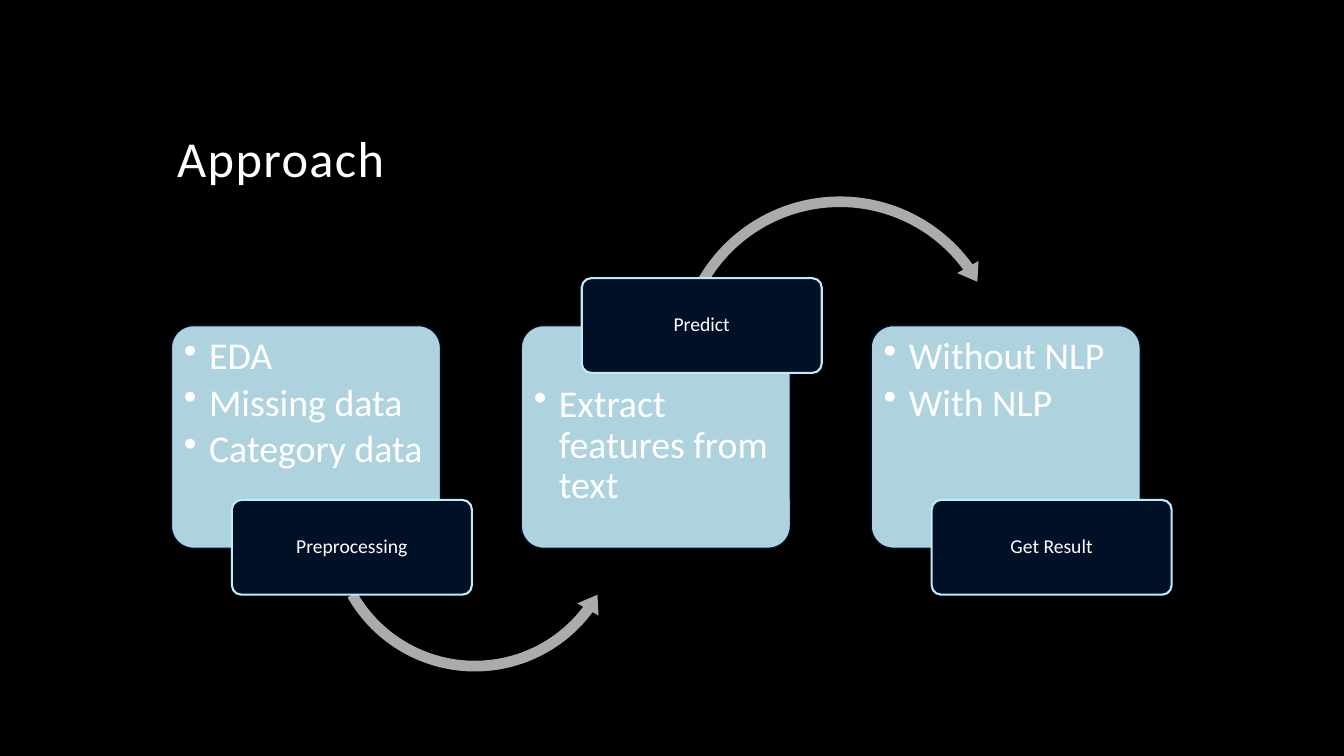
from dataclasses import dataclass

from lxml.etree import SubElement
from pptx import Presentation
from pptx.dml.color import RGBColor
from pptx.enum.shapes import MSO_SHAPE as Shape
from pptx.enum.text import MSO_ANCHOR as Anchor, PP_ALIGN as Align
from pptx.oxml.ns import qn
from pptx.util import Inches, Pt


@dataclass(frozen=True)
class Theme:
    font: str = "Calibri"
    background: str = "000000"
    text: str = "FFFFFF"
    card: str = "C1EBF7"
    label: str = "001027"
    arrow: str = "ABABAD"
    title_size: int = 36
    card_size: int = 27
    label_size: int = 14


theme = Theme()


def color(value):
    return RGBColor.from_string(value)


def write(box, lines, size, margins, anchor=Anchor.TOP, align=Align.LEFT,
          bullet=False, spacing=0, after=0):
    frame = box.text_frame
    frame.word_wrap = True
    frame.vertical_anchor = anchor
    frame.margin_left = frame.margin_right = Inches(margins[0])
    frame.margin_top, frame.margin_bottom = Inches(margins[1]), Inches(margins[2])
    for index, line in enumerate(lines):
        para = frame.paragraphs[0] if index == 0 else frame.add_paragraph()
        para.alignment = align
        para.line_spacing = 0.9
        para.space_after = Pt(after)
        span = para.add_run()
        span.text = line
        span.font.name = theme.font
        span.font.size = Pt(size)
        span.font.color.rgb = color(theme.text)
        if spacing:
            span.font._element.set("spc", str(spacing * 100))
        if bullet:
            props = para._p.get_or_add_pPr()
            props.set("marL", str(Inches(0.25)))
            props.set("indent", str(-Inches(0.25)))
            SubElement(props, qn("a:buChar"), char="•")


deck = Presentation()
deck.slide_width, deck.slide_height = Inches(13.33), Inches(7.5)
page = deck.slides.add_slide(deck.slide_layouts[6])
page.background.fill.solid()
page.background.fill.fore_color.rgb = color(theme.background)

title = page.shapes.add_textbox(Inches(1.66), Inches(0.42), Inches(10), Inches(1.5))
write(title, ["Approach"], theme.title_size, (0.1, 0.05, 0.05),
      anchor=Anchor.BOTTOM, spacing=1)

label_low, label_high = 4.96, 2.76
steps = [
    ("Preprocessing", ["EDA", "Missing data", "Category data"], label_low, 0.05,
     (Shape.LEFT_CIRCULAR_ARROW, 3.19, 3.69, 3.04,
      (0.035, 4.277, 22.032, 90.245, 0.04))),
    ("Predict", ["Extract features from text"], label_high, 0.52,
     (Shape.CIRCULAR_ARROW, 6.64, 1.88, 3.38,
      (0.031, 3.813, 194.431, 125.755, 0.036))),
    ("Get Result", ["Without NLP", "With NLP"], label_low, 0.05, None),
]

for index, (name, points, label_top, text_top, arrow_spec) in enumerate(steps):
    left = 1.7 + 3.47 * index

    card = page.shapes.add_shape(Shape.ROUNDED_RECTANGLE, Inches(left), Inches(3.23),
                                 Inches(2.67), Inches(2.21))
    card.adjustments[0] = 0.1
    card.shadow.inherit = False
    card.fill.solid()
    card.fill.fore_color.rgb = color(theme.card)
    tint = card._element.spPr.find(qn("a:solidFill")).find(qn("a:srgbClr"))
    SubElement(tint, qn("a:alpha"), val="90000")
    card.line.color.rgb = color(theme.label)
    card.line.width = Pt(1)
    write(card, points, theme.card_size, (0.06, text_top, 0.05), bullet=True, after=4)

    if arrow_spec:
        kind, arrow_left, arrow_top, side, bends = arrow_spec
        arrow = page.shapes.add_shape(kind, Inches(arrow_left), Inches(arrow_top),
                                      Inches(side), Inches(side))
        for number, bend in enumerate(bends):
            arrow.adjustments[number] = bend
        arrow.shadow.inherit = False
        arrow.fill.solid()
        arrow.fill.fore_color.rgb = color(theme.arrow)
        arrow.line.fill.background()

    label = page.shapes.add_shape(Shape.ROUNDED_RECTANGLE, Inches(left + 0.6),
                                  Inches(label_top), Inches(2.38), Inches(0.94))
    label.adjustments[0] = 0.1
    label.shadow.inherit = False
    label.fill.solid()
    label.fill.fore_color.rgb = color(theme.label)
    label.line.color.rgb = color(theme.card)
    label.line.width = Pt(1.5)
    write(label, [name], theme.label_size, (0.03, 0.02, 0.02),
          anchor=Anchor.MIDDLE, align=Align.CENTER)

deck.save("out.pptx")
